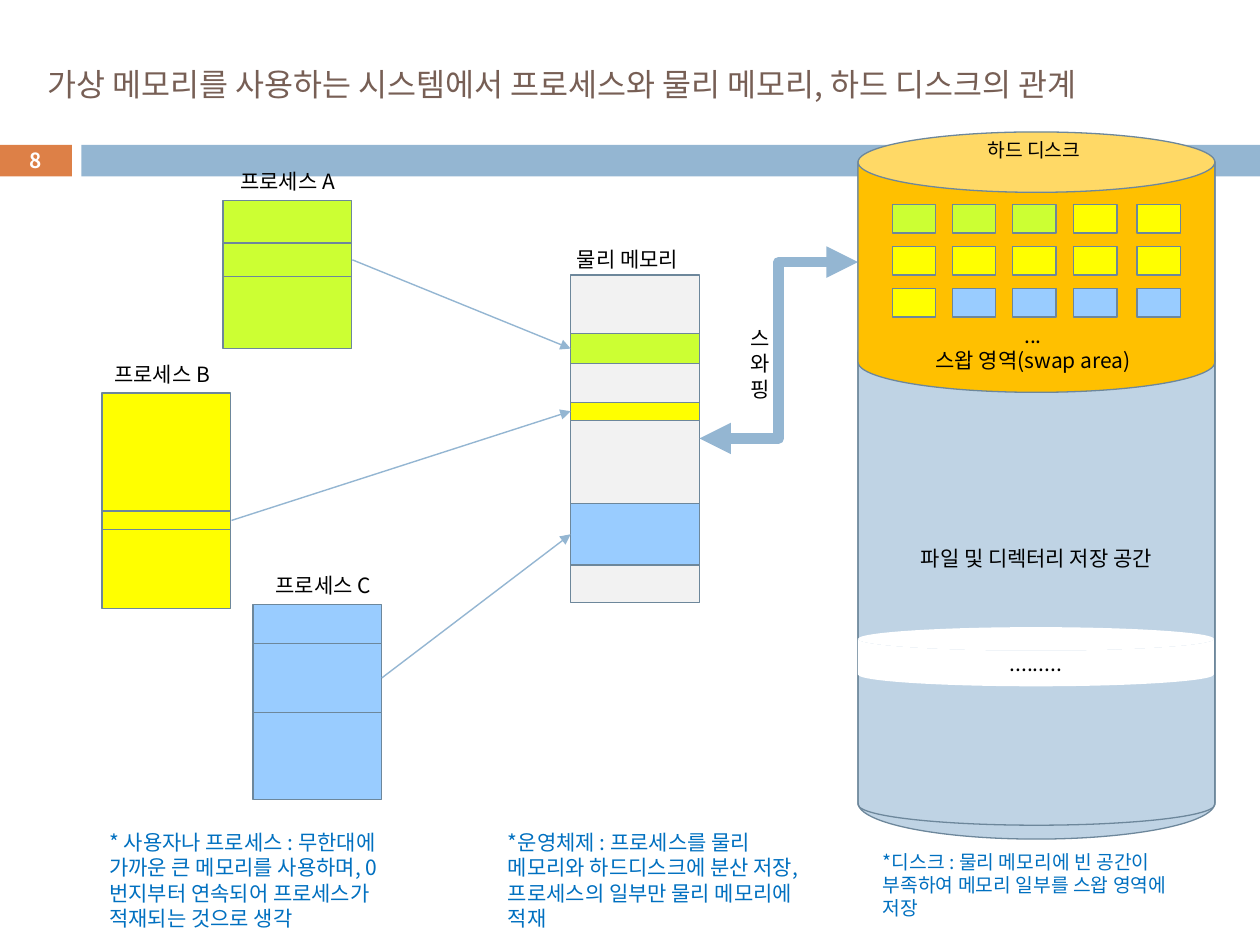
from lxml import etree
from pptx import Presentation
from pptx.dml.color import RGBColor
from pptx.enum import shapes, text
from pptx.oxml import ns
from pptx.util import Pt

FONT = "Noto Sans CJK KR"
BLACK = RGBColor(0x00, 0x00, 0x00)
WHITE = RGBColor(0xFF, 0xFF, 0xFF)
BROWN = RGBColor(0x77, 0x5F, 0x55)
ORANGE = RGBColor(0xDD, 0x80, 0x47)
BLUE = RGBColor(0x94, 0xB6, 0xD2)
PALE_BLUE = RGBColor(0xBF, 0xD3, 0xE4)
OUTLINE = RGBColor(0x6D, 0x87, 0x9B)
NOTE_BLUE = RGBColor(0x00, 0x70, 0xC0)
GREEN = RGBColor(0xCC, 0xFF, 0x33)
YELLOW = RGBColor(0xFF, 0xFF, 0x00)
SKY = RGBColor(0x99, 0xCC, 0xFF)
GRAY = RGBColor(0xF2, 0xF2, 0xF2)
AMBER = RGBColor(0xFF, 0xC0, 0x00)
LEFT, CENTER = text.PP_ALIGN.LEFT, text.PP_ALIGN.CENTER
RECT, CAN = shapes.MSO_SHAPE.RECTANGLE, shapes.MSO_SHAPE.CAN
STRAIGHT, ELBOW = shapes.MSO_CONNECTOR.STRAIGHT, shapes.MSO_CONNECTOR.ELBOW


class Board:
    """Draws styled elements on one slide, with all lengths in points."""

    def __init__(self, slide):
        self.slide = slide

    def set_text(self, shape, wording, align=LEFT, wrap=True, **style):
        frame = shape.text_frame
        frame.text = wording
        frame.word_wrap = wrap
        frame.vertical_anchor = text.MSO_ANCHOR.MIDDLE
        color = style.pop("color", BLACK)
        values = {"name": FONT, "size": Pt(style.pop("size", 12)), **style}
        for paragraph in frame.paragraphs:
            paragraph.alignment = align
            for run in paragraph.runs:
                for name, value in values.items():
                    setattr(run.font, name, value)
                run.font.color.rgb = color
                latin = run.font._element.find(ns.qn("a:latin"))
                east_asian = etree.Element(ns.qn("a:ea"), typeface=FONT)
                latin.addnext(east_asian)

    def title(self, wording, left, top, width, height, **style):
        shape = self.slide.shapes.title
        box = {"left": left, "top": top, "width": width, "height": height}
        for name, value in box.items():
            setattr(shape, name, Pt(value))
        self.set_text(shape, wording, **style)

    def label(self, wording, left, top, width, height, **style):
        box = map(Pt, (left, top, width, height))
        self.set_text(self.slide.shapes.add_textbox(*box), wording, **style)

    def shape(self, left, top, width, height, fill=None, line=OUTLINE, kind=RECT, bend=None):
        shape = self.slide.shapes.add_shape(kind, *map(Pt, (left, top, width, height)))
        shape.shadow.inherit = False
        if bend is not None:
            shape.adjustments[0] = bend
        if fill is None:
            shape.fill.background()
        else:
            shape.fill.solid()
            shape.fill.fore_color.rgb = fill
        if line is None:
            shape.line.fill.background()
        else:
            shape.line.color.rgb = line
            shape.line.width = Pt(0.75)
        return shape

    def stack(self, left, top, width, heights, fill):
        for height in heights:
            self.shape(left, top, width, height, fill)
            top += height

    def arrow(self, start, end, kind=STRAIGHT, width=0.79, ends=("tailEnd",)):
        connector = self.slide.shapes.add_connector(kind, *map(Pt, (*start, *end)))
        connector.line.color.rgb = BLUE
        connector.line.width = Pt(width)
        line = connector.line._get_or_add_ln()
        for name in ends:
            etree.SubElement(line, ns.qn(f"a:{name}"), type="triangle")
        etree.SubElement(connector._element.spPr, ns.qn("a:effectLst"))


def main():
    presentation = Presentation()
    presentation.slide_width, presentation.slide_height = Pt(720), Pt(540)
    slide = presentation.slides.add_slide(presentation.slide_layouts[5])
    board = Board(slide)

    board.shape(-0.7, 82.8, 41.8, 18, ORANGE, None)
    board.shape(46.5, 82.8, 673.5, 18, BLUE, None)
    board.title("가상 메모리를 사용하는 시스템에서 프로세스와 물리 메모리, 하드 디스크의 관계",
                20.2, 15.1, 670.3, 65.5, size=18, color=BROWN)
    board.label("8", -0.7, 81.7, 41.8, 19.4, align=CENTER, size=11.9, color=WHITE, bold=True)

    disk_left, disk_width = 490.3, 203.9
    board.shape(disk_left, 180.7, disk_width, 298.8, PALE_BLUE, kind=CAN, bend=0.203)
    board.label("파일 및 디렉터리 저장 공간", disk_left, 308, disk_width, 22, align=CENTER)

    block_width = 73.6
    processes = (
        ("프로세스 A", 130.3, 127.4, 114.5, (24.3, 19.2, 41.2), GREEN),
        ("프로세스 B", 58.3, 58.3, 224.5, (67.6, 10.4, 45.3), YELLOW),
        ("프로세스 C", 150.5, 144.6, 345.4, (22.5, 39.2, 49.7), SKY),
    )
    for name, label_left, left, top, heights, fill in processes:
        board.stack(left, top, block_width, heights, fill)
        board.label(name, label_left, top - 21.6, 75, 21.6, wrap=False)

    memory_left = 326.1
    board.shape(memory_left, 157.2, block_width, 187, GRAY)
    for top, height, fill in ((190.6, 17, GREEN), (230, 10.4, YELLOW), (287.8, 35.1, SKY)):
        board.shape(memory_left, top, block_width, height, fill)
    board.label("물리 메모리", 322.6, 137.5, 79.2, 21.6, wrap=False)

    for start, end_top in (((201.4, 148.5), 199.2), ((132.3, 297.4), 235), ((218.2, 387.4), 305.3)):
        board.arrow(start, (memory_left, end_top))

    board.shape(disk_left, 80.6, disk_width, 391, kind=CAN, bend=0.116)
    gap = board.shape(disk_left, 358.4, 203.4, 33.8, WHITE, None, CAN, 0.399)
    board.set_text(gap, ".........", align=CENTER)

    board.arrow((399.7, 250.6), (disk_left, 149.8), ELBOW, 6, ("headEnd", "tailEnd"))
    board.label("스\n와\n핑", 421.9, 182.2, 26.6, 51.1, wrap=False)

    board.shape(disk_left, 75.4, disk_width, 148.8, AMBER, kind=CAN, bend=0.232)
    swap_rows = ([GREEN] * 3 + [YELLOW] * 2, [YELLOW] * 5, [YELLOW] + [SKY] * 4)
    swap_columns = (509.8, 544.2, 578.7, 613.5, 649.8)
    for row, fills in enumerate(swap_rows):
        for left, fill in zip(swap_columns, fills):
            board.shape(left, 116.8 + 24 * row, 24.8, 16.4, fill)
    board.label("하드 디스크", 553.7, 75.4, 74.2, 20.9, align=CENTER, wrap=False, size=11)
    board.label("...\n스왑 영역(swap area)", 525.2, 180.8, 130.3, 36, align=CENTER, wrap=False)

    notes = (
        ("* 사용자나 프로세스 : 무한대에 가까운 큰 메모리를 사용하며, 0번지부터 연속되어 프로세스가 적재되는 것으로 생각",
         55.4, 470.2, 198.7, 65.5, 12),
        ("*운영체제 : 프로세스를 물리 메모리와 하드디스크에 분산 저장, 프로세스의 일부만 물리 메모리에 적재",
         283.2, 470.2, 198.7, 65.5, 12),
        ("*디스크 : 물리 메모리에 빈 공간이 부족하여 메모리 일부를 스왑 영역에 저장",
         497.3, 481.7, 195.1, 47.5, 11),
    )
    for wording, left, top, width, height, size in notes:
        board.label(wording, left, top, width, height, size=size, color=NOTE_BLUE)

    presentation.save("out.pptx")


if __name__ == "__main__":
    main()
